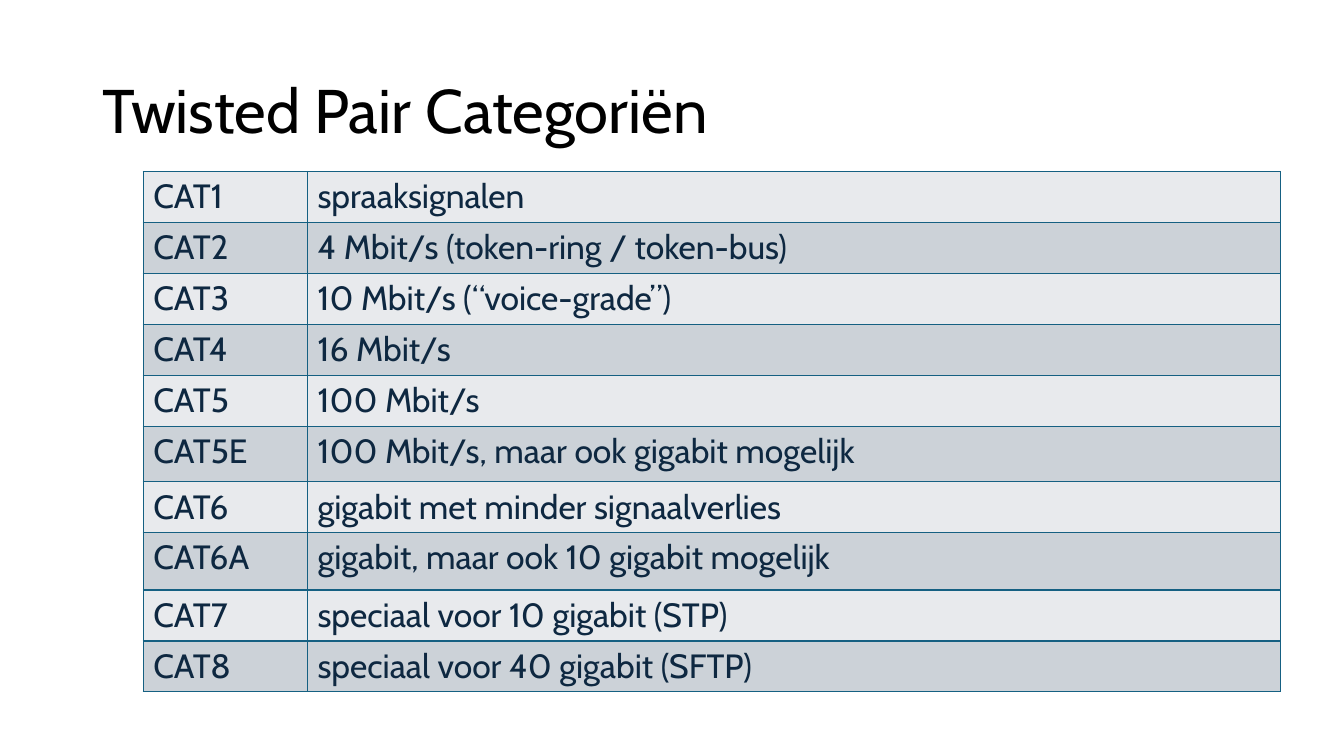
from lxml.etree import SubElement
from pptx import Presentation
from pptx.dml.color import RGBColor
from pptx.enum.text import MSO_ANCHOR, PP_ALIGN
from pptx.oxml.ns import qn
from pptx.util import Inches, Pt

BORDER = "156082"
BANDS = ["E8EAED", "CCD2D8"]
TITLE_FORMAT = {"name": "Cabin", "size": Pt(44), "bold": False}
CELL_FORMAT = {"name": "Cabin", "size": Pt(24), "bold": False}
COLUMN_WIDTHS = [1.63, 9.65]
ROW_HEIGHT = 0.48
TALL_ROWS = {"CAT5E": 0.55, "CAT6A": 0.57}
CATEGORIES = [
    ("CAT1", "spraaksignalen"),
    ("CAT2", "4 Mbit/s (token-ring / token-bus)"),
    ("CAT3", "10 Mbit/s (“voice-grade”)"),
    ("CAT4", "16 Mbit/s"),
    ("CAT5", "100 Mbit/s"),
    ("CAT5E", "100 Mbit/s, maar ook gigabit mogelijk"),
    ("CAT6", "gigabit met minder signaalverlies"),
    ("CAT6A", "gigabit, maar ook 10 gigabit mogelijk"),
    ("CAT7", "speciaal voor 10 gigabit (STP)"),
    ("CAT8", "speciaal voor 40 gigabit (SFTP)"),
]


def color(hex_string):
    return RGBColor.from_string(hex_string)


def write(paragraph, text, font_format, hex_string):
    run = paragraph.add_run()
    run.text = text
    for attribute, value in font_format.items():
        setattr(run.font, attribute, value)
    run.font.color.rgb = color(hex_string)


presentation = Presentation()
presentation.slide_width = Inches(13.33)
presentation.slide_height = Inches(7.5)
slide = presentation.slides.add_slide(presentation.slide_layouts[5])

title = slide.shapes.title
title.left, title.top, title.width, title.height = map(Inches, (0.92, 0.4, 11.5, 1.45))
title.text_frame.vertical_anchor = MSO_ANCHOR.MIDDLE
title.text_frame.word_wrap = True
title_paragraph = title.text_frame.paragraphs[0]
title_paragraph.alignment = PP_ALIGN.LEFT
title_paragraph.line_spacing = 0.9
write(title_paragraph, "Twisted Pair Categoriën", TITLE_FORMAT, "000000")

row_heights = [TALL_ROWS.get(category, ROW_HEIGHT) for category, _ in CATEGORIES]
table = slide.shapes.add_table(
    len(CATEGORIES), len(COLUMN_WIDTHS), Inches(1.42), Inches(1.7),
    Inches(sum(COLUMN_WIDTHS)), Inches(sum(row_heights)),
).table
table.first_row = False
for column, width in zip(table.columns, COLUMN_WIDTHS):
    column.width = Inches(width)

for row_index, texts in enumerate(CATEGORIES):
    table.rows[row_index].height = Inches(row_heights[row_index])
    for column_index, text in enumerate(texts):
        cell = table.cell(row_index, column_index)
        write(cell.text_frame.paragraphs[0], text, CELL_FORMAT, "0E2841")
        properties = cell._tc.get_or_add_tcPr()
        for side in ("a:lnL", "a:lnR", "a:lnT", "a:lnB"):
            line = SubElement(properties, qn(side), w=str(Pt(1)))
            SubElement(SubElement(line, qn("a:solidFill")), qn("a:srgbClr"), val=BORDER)
        cell.fill.solid()
        cell.fill.fore_color.rgb = color(BANDS[row_index % 2])

presentation.save("out.pptx")
